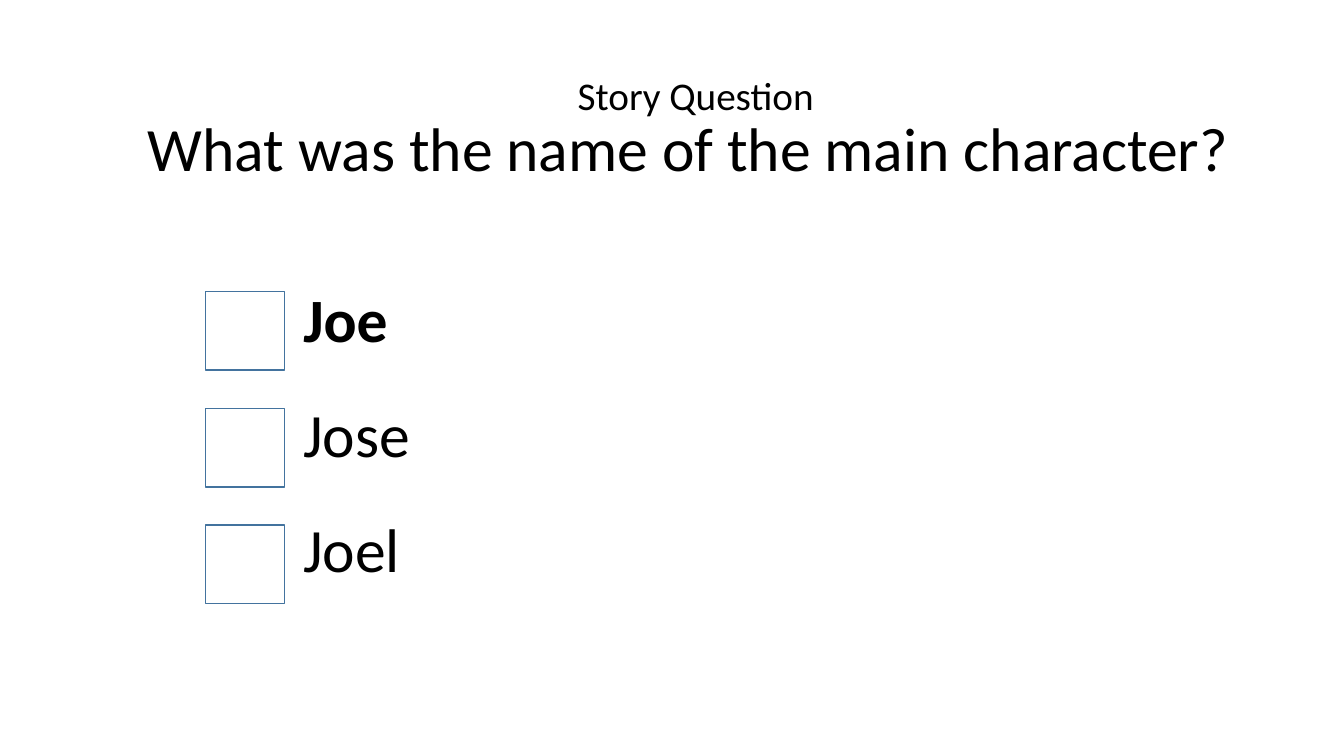
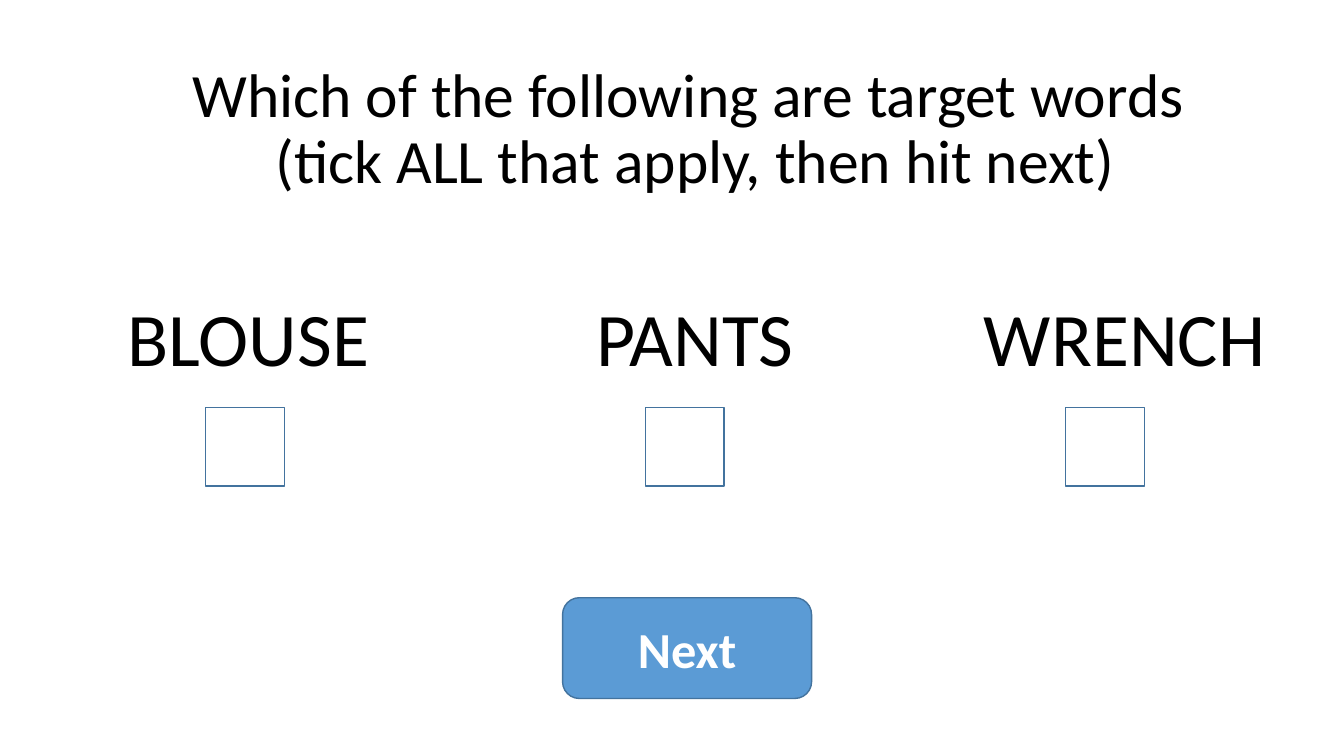
from dataclasses import dataclass
from pptx import Presentation
from pptx.util import Inches, Pt
from pptx.dml.color import RGBColor as Rgb
from pptx.enum.shapes import MSO_SHAPE as Shape
from pptx.enum.text import MSO_ANCHOR as Anchor, MSO_AUTO_SIZE as Fit, PP_ALIGN as Align


@dataclass(frozen=True)
class Theme:
    face: str = "Calibri"
    ink: str = "000000"
    white: str = "FFFFFF"
    edge: str = "43739E"
    blue: str = "5B9BD5"
    small: int = 28
    next: int = 36
    base: int = 44
    word: int = 54


T = Theme()
STORY = [("Story Question", T.small), ("What was the name of the main character? ", T.base)]
NAMES = [("Joe", True), ("Jose", False), ("Joel", False)]
TARGET = [("Which of the following are target words ", T.base),
          ("(tick ALL that apply, then hit next)", T.base)]
WORDS = [("BLOUSE", 0.71, 3.51, 2.04), ("PANTS", 4.9, 3.98, 6.4), ("WRENCH", 9.61, 3.09, 10.57)]
BUTTON = "Next"

HEAD = (1.15, 0.57, 11.5, 1.45)
BOX = 0.78
LEFT = 2.04
NAME = dict(left=2.91, top=2.74, step=1.14, width=9.24, height=0.84)
TICK = dict(top=2.89, step=1.16)
ROW = dict(word=2.84, height=1.01, tick=4.04)


def style(item, **form):
    for key, val in form.items():
        setattr(item, key, val)


def font(run, size, ink=T.ink, bold=False):
    style(run.font, name=T.face, size=Pt(size), bold=bold)
    run.font.color.rgb = Rgb.from_string(ink)


def place(*at):
    return [Inches(n) for n in at]


def fill(para, text, size, **form):
    run = para.add_run()
    run.text = text
    font(run, size, **form)


def label(slide, at, text, size, align=Align.LEFT, bold=False):
    frame = slide.shapes.add_textbox(*place(*at)).text_frame
    style(frame, word_wrap=True, auto_size=Fit.SHAPE_TO_FIT_TEXT)
    para = frame.paragraphs[0]
    para.alignment = align
    fill(para, text, size, bold=bold)


def block(slide, kind, at, tint=None):
    shape = slide.shapes.add_shape(kind, *place(*at))
    shape.shadow.inherit = False
    shape.line.width = Pt(1)
    shape.line.color.rgb = Rgb.from_string(T.edge)
    if tint:
        shape.fill.solid()
        shape.fill.fore_color.rgb = Rgb.from_string(tint)
    else:
        shape.fill.background()
    return shape


def tick(slide, left, top):
    block(slide, Shape.RECTANGLE, (left, top, BOX, BOX))


def start(deck, lines):
    slide = deck.slides.add_slide(deck.slide_layouts[5])
    title = slide.shapes.title
    style(title, **dict(zip(("left", "top", "width", "height"), place(*HEAD))))
    style(title.text_frame, word_wrap=True, auto_size=Fit.NONE, vertical_anchor=Anchor.MIDDLE)
    para = title.text_frame.paragraphs[0]
    style(para, alignment=Align.CENTER, line_spacing=0.9)
    for i, (text, size) in enumerate(lines):
        if i:
            para.add_line_break()
        fill(para, text, size)
    return slide


def story(deck):
    slide = start(deck, STORY)
    for i, (name, bold) in enumerate(NAMES):
        top = NAME["top"] + i * NAME["step"]
        label(slide, (NAME["left"], top, NAME["width"], NAME["height"]), name, T.base, bold=bold)
        tick(slide, LEFT, TICK["top"] + i * TICK["step"])


def target(deck):
    slide = start(deck, TARGET)
    for word, left, width, box in WORDS:
        label(slide, (left, ROW["word"], width, ROW["height"]), word, T.word, Align.CENTER)
        tick(slide, box, ROW["tick"])
    shape = block(slide, Shape.ROUNDED_RECTANGLE, (5.58, 5.93, 2.47, 1), T.blue)
    shape.text_frame.vertical_anchor = Anchor.MIDDLE
    para = shape.text_frame.paragraphs[0]
    para.alignment = Align.CENTER
    fill(para, BUTTON, T.next, ink=T.white, bold=True)


def main():
    deck = Presentation()
    style(deck, slide_width=Inches(13.33), slide_height=Inches(7.5))
    story(deck)
    target(deck)
    deck.save("out.pptx")


if __name__ == "__main__":
    main()
